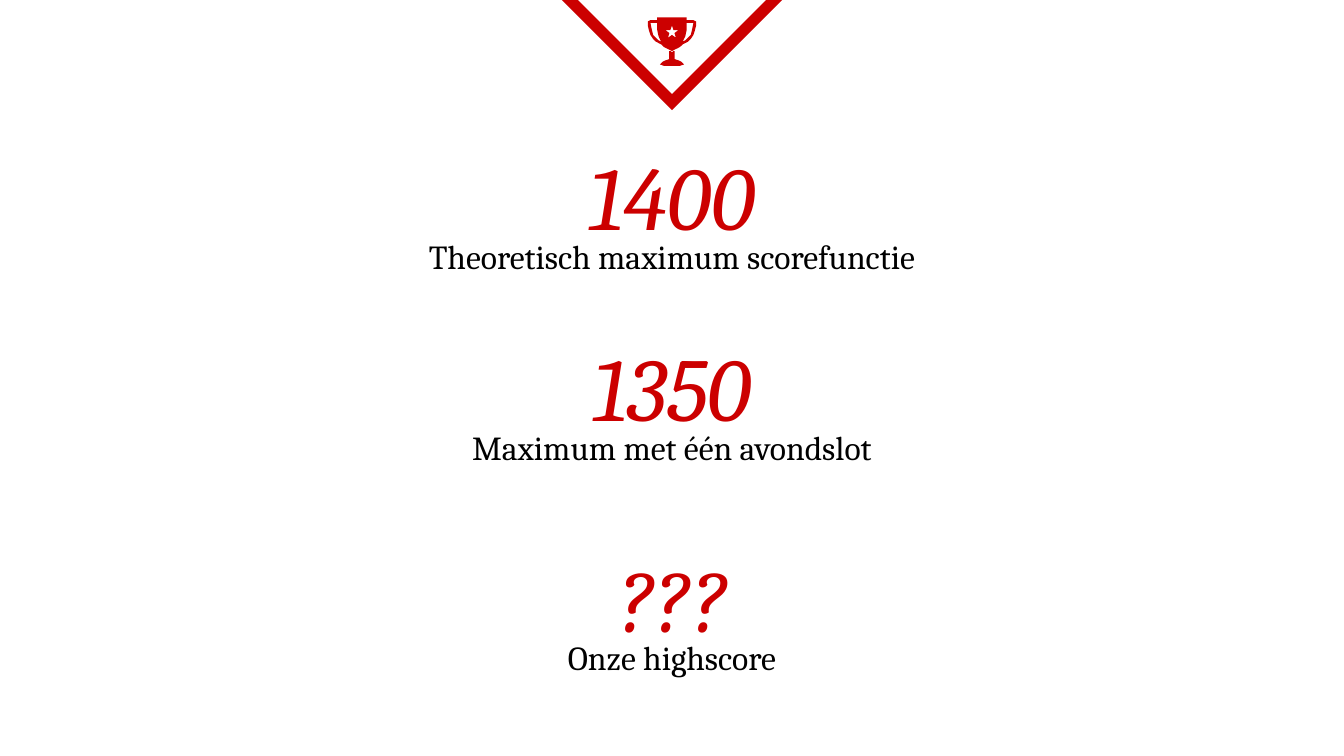
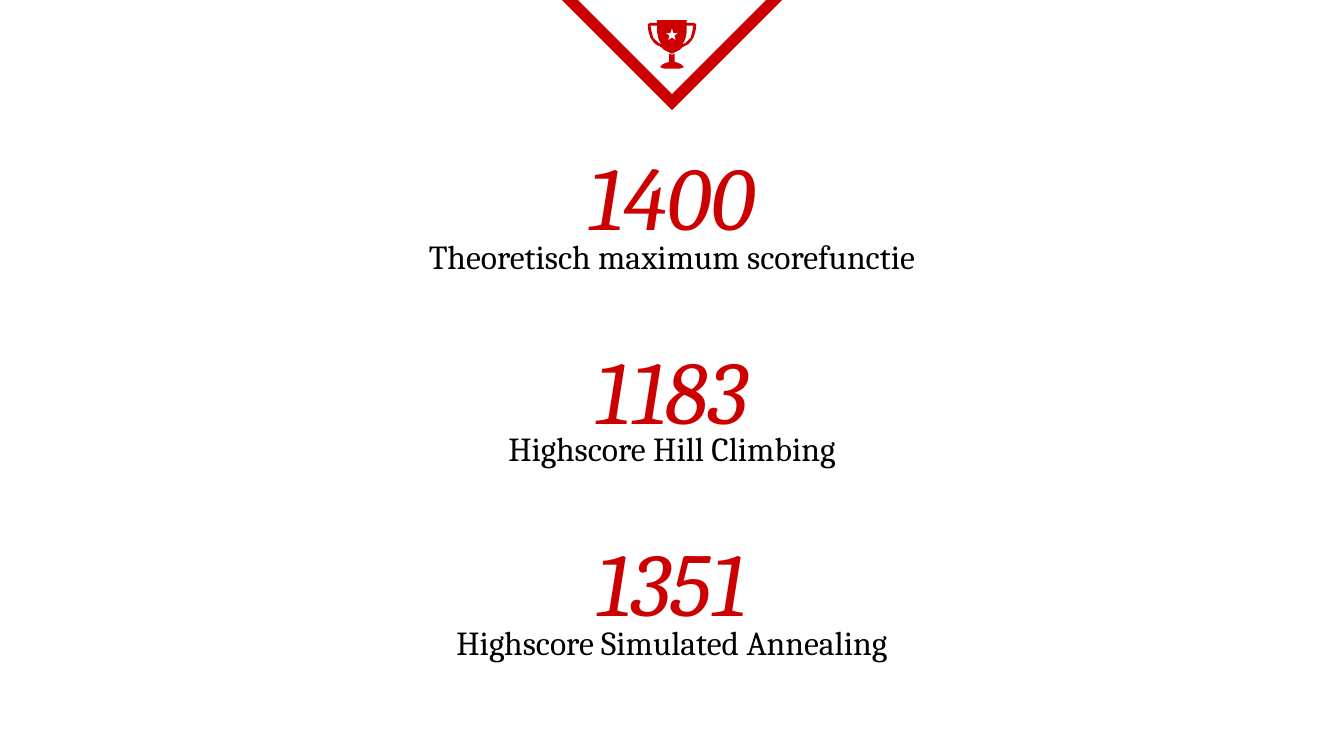
import math
from lxml import etree
from pptx import Presentation, util as u
from pptx.dml import color
from pptx.enum import shapes, text
from pptx.oxml import ns

RED, BLACK, WHITE = "CC0000", "000000", "FFFFFF"


def rgb(code):
    return color.RGBColor.from_string(code)


def write(slide, words, left, top, high, size, ink, slant=False, lead=None):
    box = slide.shapes.add_textbox(u.Inches(left), u.Inches(top), u.Inches(8.5), u.Inches(high))
    frame = box.text_frame
    frame.word_wrap = True
    frame.vertical_anchor = text.MSO_ANCHOR.MIDDLE
    frame.margin_left = frame.margin_right = u.Inches(0.1)
    frame.margin_top = frame.margin_bottom = u.Inches(0.1)
    para = frame.paragraphs[0]
    para.alignment = text.PP_ALIGN.CENTER
    if lead:
        para.line_spacing = lead
    run = para.add_run()
    run.text = words
    run.font.name = "Cambria"
    run.font.size = u.Pt(size)
    run.font.italic = slant
    run.font.color.rgb = rgb(ink)


base = [(0, 0.39), (0.01, 0.38), (0.02, 0.38), (0.02, 0.44), (0.05, 0.45), (0.07, 0.46),
        (0.08, 0.47), (0.09, 0.48), (0.06, 0.49), (0, 0.49)]
cup = [(0, 0.13), (0.11, 0.13), (0.11, 0.15), (0.16, 0.15), (0.18, 0.16), (0.18, 0.19),
       (0.17, 0.23), (0.16, 0.26), (0.14, 0.29), (0.12, 0.31), (0.08, 0.33), (0.06, 0.35),
       (0.04, 0.36), (0.02, 0.37), (0, 0.38)]
grip = [(0.11, 0.17), (0.16, 0.17), (0.15, 0.22), (0.14, 0.26), (0.12, 0.28), (0.1, 0.3),
        (0.08, 0.31), (0.1, 0.27), (0.11, 0.22)]
star = []
for k in range(10):
    reach = 0.02 if k % 2 else 0.05
    turn = math.pi * k / 5
    star.append((reach * math.sin(turn), 0.24 - reach * math.cos(turn)))

foot = [base + [(-x, y) for x, y in reversed(base)]]
bowl = [cup + [(-x, y) for x, y in reversed(cup)], grip, [(-x, y) for x, y in grip], star]

pages = [
    (0, [("1400", 0.75, 0.96, "Theoretisch maximum scorefunctie", 1.63),
         ("1350", 0.75, 2.38, "Maximum met één avondslot", 3.05),
         ("???", 0.75, 3.95, "Onze highscore", 4.61)]),
    (0.02, [("1400", 0.75, 0.96, "Theoretisch maximum scorefunctie", 1.63),
            ("1183", 0.75, 2.4, "Highscore Hill Climbing", 3.06),
            ("1351 ", 0.82, 3.83, "Highscore Simulated Annealing", 4.5)]),
]

deck = Presentation()
deck.slide_width = u.Inches(10)
deck.slide_height = u.Inches(10 * 9 / 16)

for drop, scores in pages:
    slide = deck.slides.add_slide(deck.slide_layouts[6])
    slide.background.fill.solid()
    slide.background.fill.fore_color.rgb = rgb(WHITE)

    badge = slide.shapes.add_shape(shapes.MSO_SHAPE.ISOSCELES_TRIANGLE, u.Inches(4.18),
                                   u.Inches(-0.06), u.Inches(1.64), u.Inches(0.82))
    badge.rotation = 180
    badge.shadow.inherit = False
    badge.fill.background()
    badge.line.color.rgb = rgb(RED)
    badge.line.width = u.Pt(6)
    edge = badge.element.spPr.find(ns.qn("a:ln"))
    etree.SubElement(edge, ns.qn("a:miter")).set("lim", "800000")

    for score, left, top, label, low in scores:
        write(slide, score, left, top, 0.98, 48, RED, slant=True)
        write(slide, label, 0.75, low, 0.51, 18, BLACK, lead=1.15)

    trophy = slide.shapes.add_group_shape()
    for rings in (foot, bowl):
        pen = None
        for ring in rings:
            dots = [(u.Inches(5 + x), u.Inches(y + drop)) for x, y in ring]
            if pen is None:
                pen = trophy.shapes.build_freeform(*dots[0])
            else:
                pen.move_to(*dots[0])
            pen.add_line_segments(dots[1:], close=True)
        part = pen.convert_to_shape()
        part.shadow.inherit = False
        part.fill.solid()
        part.fill.fore_color.rgb = rgb(RED)
        part.line.fill.background()

deck.save("out.pptx")
